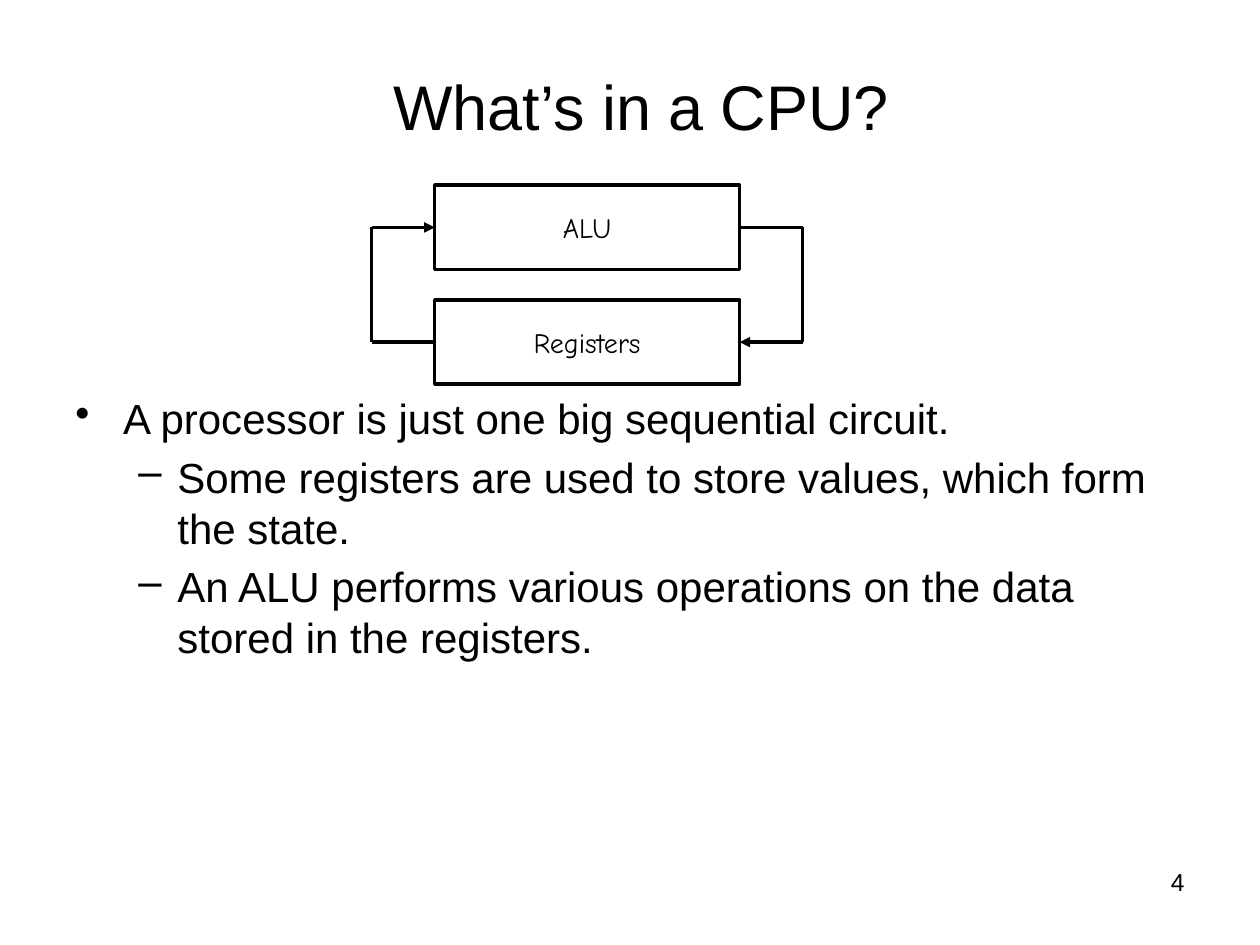
from dataclasses import dataclass

import pptx
import pptx.dml.color
import pptx.enum.shapes
import pptx.enum.text
import pptx.oxml.ns
import pptx.util
from lxml import etree

Inches = pptx.util.Inches
Pt = pptx.util.Pt
Align = pptx.enum.text.PP_ALIGN
Anchor = pptx.enum.text.MSO_ANCHOR
BLACK = "000000"
WHITE = "FFFFFF"


@dataclass
class Unit:
    label: str
    top: float


@dataclass
class Bullet:
    text: str
    level: int = 0


@dataclass
class BulletStyle:
    mark: str
    indent: float
    hanging: float


ALU = Unit("ALU", 1.47)
REGISTERS = Unit("Registers", 2.38)
UNIT_LEFT, UNIT_WIDTH, UNIT_HEIGHT = 3.45, 2.42, 0.67
LOOP_REACH = 0.5

BULLETS = [
    Bullet("A processor is just one big sequential circuit."),
    Bullet("Some registers are used to store values, which form the state.", 1),
    Bullet("An ALU performs various operations on the data stored in the registers.", 1),
]
STYLES = [BulletStyle("•", 0.38, 0.38), BulletStyle("–", 0.81, 0.31)]


def color(value: str) -> pptx.dml.color.RGBColor:
    return pptx.dml.color.RGBColor.from_string(value)


def format_paragraph(para, size: float, font: str = "Arial", align=Align.LEFT) -> None:
    para.alignment = align
    para.font.name = font
    para.font.size = Pt(size)
    para.font.color.rgb = color(BLACK)


def add_text_box(page, left: float, top: float, width: float, height: float):
    box = page.shapes.add_textbox(Inches(left), Inches(top), Inches(width), Inches(height))
    box.text_frame.word_wrap = True
    return box.text_frame


def add_unit(page, unit: Unit) -> None:
    box = page.shapes.add_shape(
        pptx.enum.shapes.MSO_SHAPE.RECTANGLE,
        Inches(UNIT_LEFT), Inches(unit.top), Inches(UNIT_WIDTH), Inches(UNIT_HEIGHT))
    box.shadow.inherit = False
    box.fill.solid()
    box.fill.fore_color.rgb = color(WHITE)
    box.line.color.rgb = color(BLACK)
    box.line.width = Pt(2)
    box.text_frame.vertical_anchor = Anchor.MIDDLE
    para = box.text_frame.paragraphs[0]
    para.text = unit.label
    format_paragraph(para, 16, "Comic Neue", Align.CENTER)


def add_line(page, start: tuple, end: tuple, arrow: bool = False) -> None:
    line = page.shapes.add_connector(
        pptx.enum.shapes.MSO_CONNECTOR.STRAIGHT, *map(Inches, start + end))
    line.line.color.rgb = color(BLACK)
    line.line.width = Pt(2)
    if arrow:
        etree.SubElement(line.line._get_or_add_ln(),
                         pptx.oxml.ns.qn("a:tailEnd"), type="triangle")
    etree.SubElement(line._element.spPr, pptx.oxml.ns.qn("a:effectLst"))


def add_loop(page, source: Unit, target: Unit, edge: float, reach: float) -> None:
    """Lead a signal out of one unit, along its side and into the other."""
    start, end = (unit.top + UNIT_HEIGHT / 2 for unit in (source, target))
    outer = edge + reach
    add_line(page, (edge, start), (outer, start))
    add_line(page, (outer, start), (outer, end))
    add_line(page, (outer, end), (edge, end), arrow=True)


def add_bullet(para, bullet: Bullet) -> None:
    style = STYLES[bullet.level]
    para.text = bullet.text
    para.level = bullet.level
    properties = para._p.get_or_add_pPr()
    properties.set("marL", str(Inches(style.indent)))
    properties.set("indent", str(-Inches(style.hanging)))
    etree.SubElement(properties, pptx.oxml.ns.qn("a:buChar"), char=style.mark)
    format_paragraph(para, 24)


def main() -> None:
    deck = pptx.Presentation()
    deck.slide_width, deck.slide_height = Inches(10), Inches(7.5)
    page = deck.slides.add_slide(deck.slide_layouts[5])

    # Title
    title = page.shapes.title
    title.left, title.top = Inches(0.59), Inches(0.21)
    title.width, title.height = Inches(9), Inches(1.25)
    title.text_frame.text = "What’s in a CPU?"
    title.text_frame.vertical_anchor = Anchor.MIDDLE
    format_paragraph(title.text_frame.paragraphs[0], 36, align=Align.CENTER)

    # Processor diagram
    for unit in (ALU, REGISTERS):
        add_unit(page, unit)
    add_loop(page, ALU, REGISTERS, UNIT_LEFT + UNIT_WIDTH, LOOP_REACH)
    add_loop(page, REGISTERS, ALU, UNIT_LEFT, -LOOP_REACH)

    # Explanation
    body = add_text_box(page, 0.5, 3.07, 9, 4.43)
    for index, bullet in enumerate(BULLETS):
        para = body.add_paragraph() if index else body.paragraphs[0]
        add_bullet(para, bullet)
        if index:
            para.space_before = Pt(4.8)

    # Page number
    number = add_text_box(page, 7.17, 6.83, 2.33, 0.52).paragraphs[0]
    number.text = "4"
    format_paragraph(number, 14, align=Align.RIGHT)

    deck.save("out.pptx")


if __name__ == "__main__":
    main()
